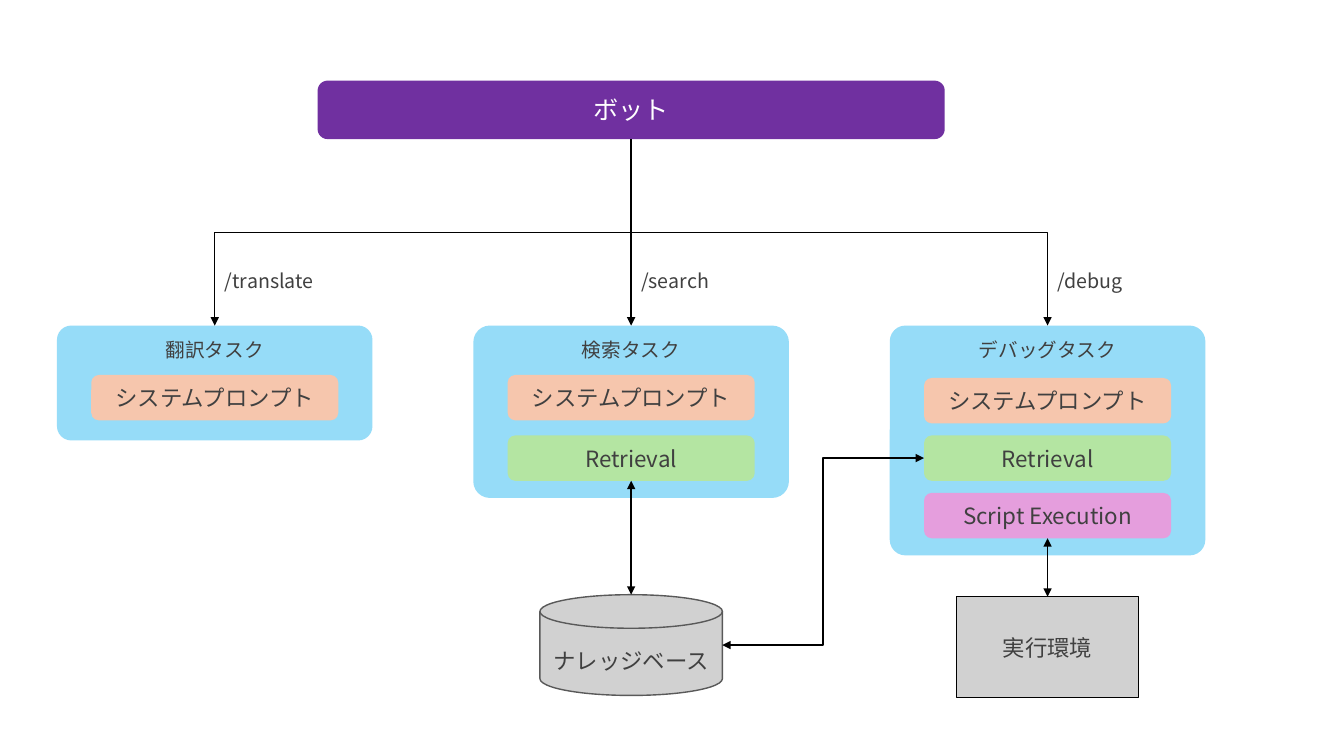
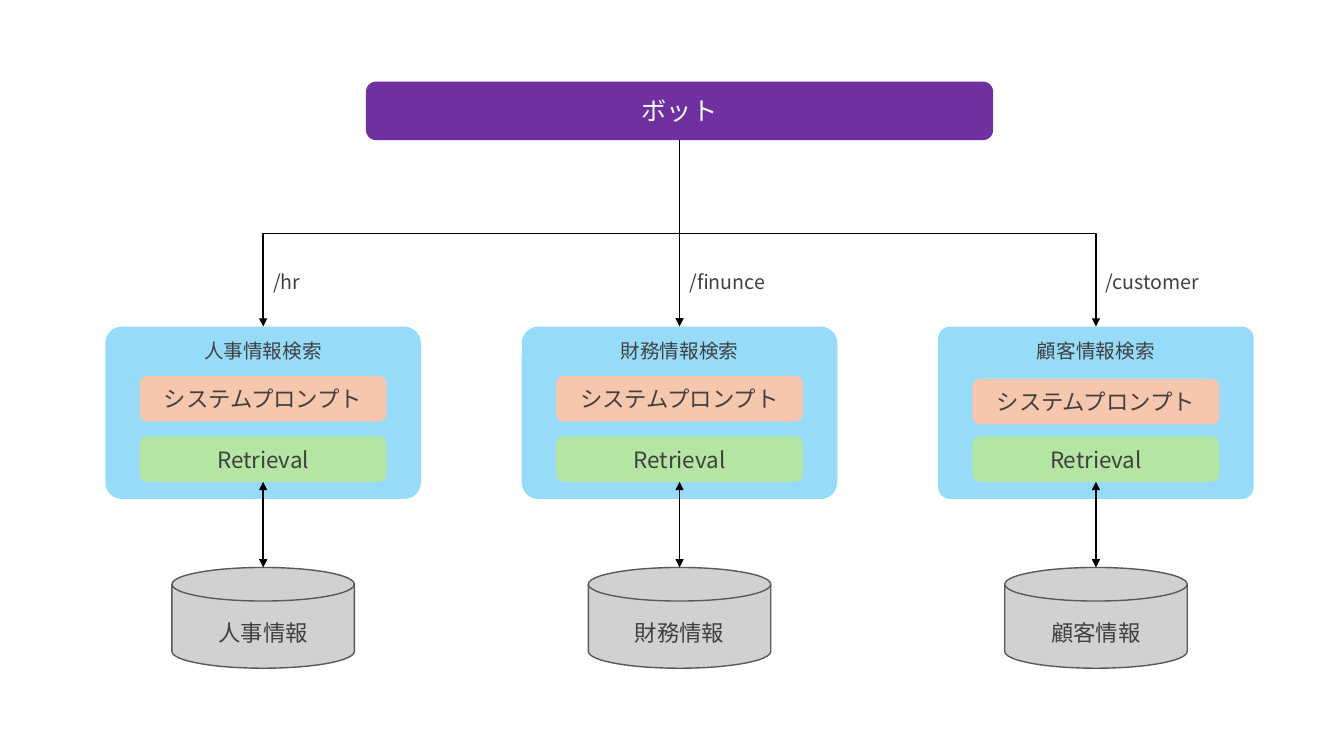
"""Build two diagrams of a bot that routes commands to its tasks."""
from lxml import etree
from pptx import Presentation
from pptx import util as u
from pptx.dml.color import RGBColor
from pptx.enum import shapes, text
from pptx.oxml import ns

FONT = "Noto Sans CJK JP"
PURPLE, BLUE, GREY = "7030A0", "96DCF8", "D1D1D1"
INK, EDGE, BLACK, WHITE = "404040", "595959", "000000", "FFFFFF"
ROUND = shapes.MSO_SHAPE.ROUNDED_RECTANGLE
DISK = shapes.MSO_SHAPE.FLOWCHART_MAGNETIC_DISK
RECT = shapes.MSO_SHAPE.RECTANGLE
STRAIGHT, ELBOW = shapes.MSO_CONNECTOR.STRAIGHT, shapes.MSO_CONNECTOR.ELBOW
MIDDLE, BOTTOM = text.MSO_ANCHOR.MIDDLE, text.MSO_ANCHOR.BOTTOM
CENTER, LEFT = text.PP_ALIGN.CENTER, text.PP_ALIGN.LEFT

STEP = 4.13
BAR_W, BAR_H = 6.22, 0.58
PANEL_W, PANEL_ROW = 3.13, 2.43
PART_W, PART_H, PART_ROW, PITCH = 2.45, 0.45, 2.95, 0.57
STORE_W, STORE_H = 1.81, 1
PROMPT_LIFTS = 0.03, 0.03, 0
PARTS = [("システムプロンプト", "F6C6AD"), ("Retrieval", "B4E5A2"), ("Script Execution", "E59EDD")]

DIAGRAMS = [
    {"middle": 6.26, "top": 0.8,
     "tasks": [("/translate", "翻訳タスク", 1, 0.125), ("/search", "検索タスク", 2, 0.096),
               ("/debug", "デバッグタスク", 3, 0.068)],
     "stores": [(1, DISK, "ナレッジベース", 5.1), (2, RECT, "実行環境", 5.12)]},
    {"middle": 6.74, "top": 0.81,
     "tasks": [("/hr", "人事情報検索", 2, 0.096), ("/finunce", "財務情報検索", 2, 0.096),
               ("/customer", "顧客情報検索", 2, 0.068)],
     "stores": [(0, DISK, "人事情報", 4.82), (1, DISK, "財務情報", 4.82),
                (2, DISK, "顧客情報", 4.82)]},
]


def draw(page, kind, at, words="", fill=None, line=None, size=16, ink=INK,
         align=CENTER, anchor=MIDDLE, radius=None):
    at = [u.Inches(length) for length in at]
    if kind is None:
        box = page.shapes.add_textbox(*at)
    else:
        box = page.shapes.add_shape(kind, *at)
        box.shadow.inherit = False
        box.fill.solid()
        box.fill.fore_color.rgb = RGBColor.from_string(fill)
        if line:
            box.line.color.rgb = RGBColor.from_string(line)
            box.line.width = u.Pt(1)
        else:
            box.line.fill.background()
        if radius:
            box.adjustments[0] = radius
    if words:
        frame = box.text_frame
        frame.word_wrap = True
        frame.vertical_anchor = anchor
        para = frame.paragraphs[0]
        para.text = words
        para.alignment = align
        para.font.size = u.Pt(size)
        para.font.color.rgb = RGBColor.from_string(ink)
        para.font.name = FONT
        etree.SubElement(para.font._rPr, ns.qn("a:ea"), typeface=FONT)


def connect(page, kind, start, end, ends=("tailEnd",), upright=False):
    (x1, y1), (x2, y2) = start, end
    if upright:
        side = 1 if x2 > x1 else -1
        mid_x, mid_y = (x1 + x2) / 2, (y1 + y2) / 2
        half_w, half_h = side * (y2 - y1) / 2, abs(x2 - x1) / 2
        x1, y1, x2, y2 = mid_x + half_w, mid_y - half_h, mid_x - half_w, mid_y + half_h
    link = page.shapes.add_connector(kind, *[u.Inches(length) for length in (x1, y1, x2, y2)])
    link.line.color.rgb = RGBColor.from_string(BLACK)
    link.line.width = u.Pt(1)
    props = link._element.spPr
    if upright:
        props.find(ns.qn("a:xfrm")).set("rot", str((270 if side > 0 else 90) * 60000))
    for name in ends:
        etree.SubElement(props.find(ns.qn("a:ln")), ns.qn("a:" + name), type="triangle")
    etree.SubElement(props, ns.qn("a:effectLst"))


deck = Presentation()
deck.slide_width, deck.slide_height = u.Inches(13.33), u.Inches(7.5)
BOTH = "headEnd", "tailEnd"

for diagram in DIAGRAMS:
    page = deck.slides.add_slide(deck.slide_layouts[6])
    middle, top, tasks = diagram["middle"], diagram["top"], diagram["tasks"]
    columns = [middle + STEP * offset for offset in (-1, 0, 1)]
    draw(page, ROUND, (middle - BAR_W / 2, top, BAR_W, BAR_H), "ボット", PURPLE,
         size=18, ink=WHITE, radius=0.171)

    for column, (command, title, count, radius), lift in zip(columns, tasks, PROMPT_LIFTS):
        panel_top = top + PANEL_ROW
        draw(page, ROUND, (column - PANEL_W / 2, panel_top, PANEL_W, PITCH * (count + 1)),
             fill=BLUE, radius=radius)
        draw(page, None, (column - PANEL_W / 2, panel_top + 0.07, PANEL_W, 0.34), title, size=14)
        for row, (words, fill) in enumerate(PARTS[:count]):
            part_top = top + PART_ROW + PITCH * row - (0 if row else lift)
            draw(page, ROUND, (column - PART_W / 2, part_top, PART_W, PART_H), words, fill)
        draw(page, None, (column, top + 1.81, 1.4, 0.34), command, size=14, align=LEFT)
        branching = column != middle
        connect(page, ELBOW if branching else STRAIGHT, (middle, top + BAR_H),
                (column, panel_top), upright=branching)

    for index, kind, words, row in diagram["stores"]:
        column, store_top = columns[index], top + row
        draw(page, kind, (column - STORE_W / 2, store_top, STORE_W, STORE_H), words, GREY,
             EDGE if kind == DISK else BLACK, anchor=BOTTOM if kind == DISK else MIDDLE)
        last_row = tasks[index][2] - 1
        part_bottom = top + PART_ROW + PITCH * last_row + PART_H
        connect(page, STRAIGHT, (column, part_bottom), (column, store_top), BOTH)

    if len(diagram["stores"]) < len(columns):
        retrieval_y = top + PART_ROW + PITCH + PART_H / 2
        store_y = top + diagram["stores"][0][3] + STORE_H / 2
        connect(page, ELBOW, (columns[2] - PART_W / 2, retrieval_y),
                (middle + STORE_W / 2, store_y), BOTH)

deck.save("out.pptx")
